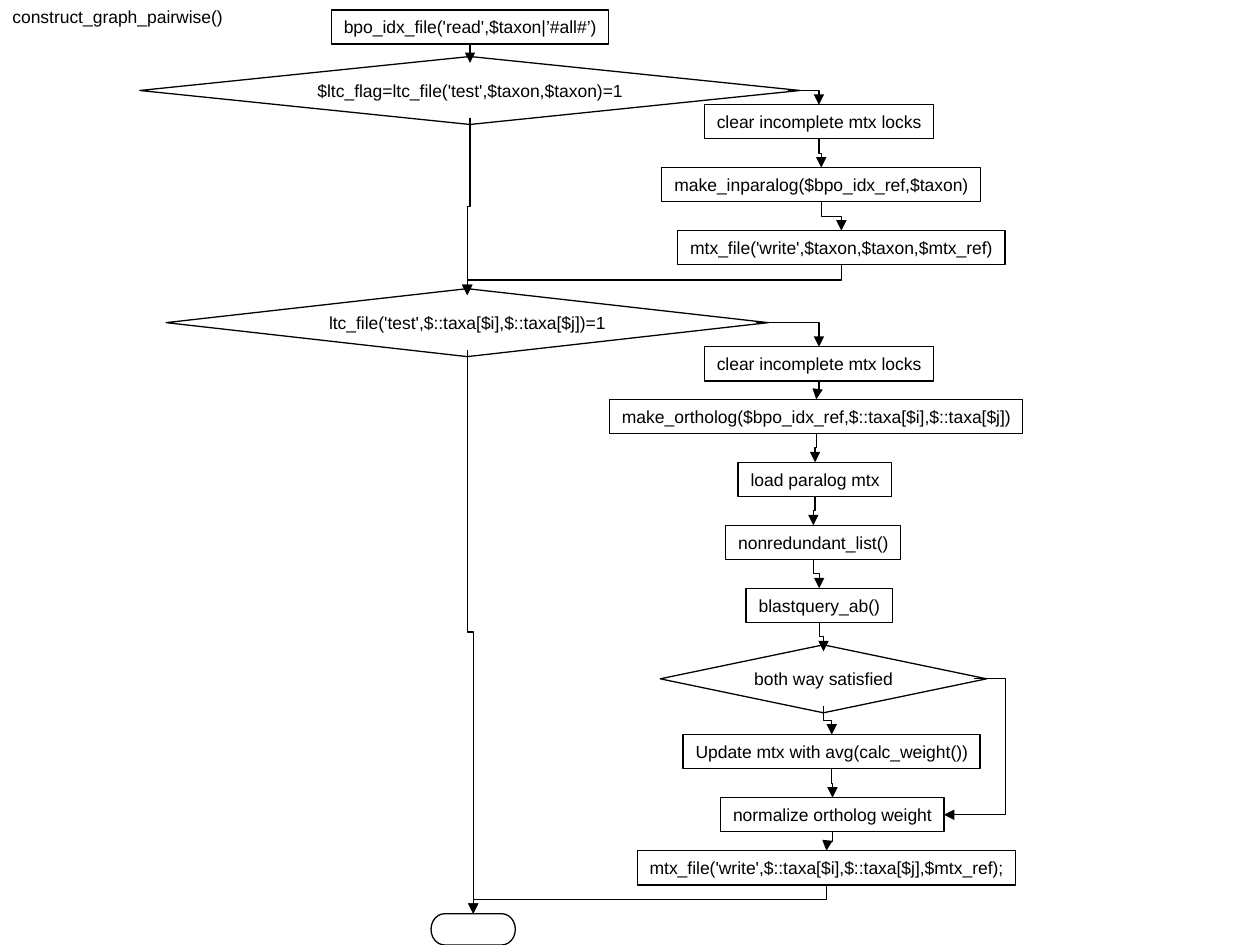
from lxml import etree
from pptx import Presentation
from pptx import util as u
from pptx.dml.color import RGBColor
from pptx.enum import shapes, text
from pptx.oxml.ns import qn

COLOURS = {"ink": "000000", "paper": "FFFFFF"}
KINDS = shapes.MSO_SHAPE
DECISION = KINDS.FLOWCHART_DECISION
STEP_HEIGHT, DECISION_HEIGHT = 0.69, 1.37
PITCH = 1.27  # distance between the tops of evenly spaced steps
DECISION_INSET_X, DECISION_INSET_Y = u.Cm(0.25), u.Cm(0.13)


def colour(name):
    return RGBColor.from_string(COLOURS[name])


def write(holder, words, size=10, font="Arial", ink="ink", margin=0.05,
          align=text.PP_ALIGN.CENTER, anchor=text.MSO_ANCHOR.MIDDLE):
    frame = holder.text_frame
    frame.word_wrap = False
    frame.auto_size = text.MSO_AUTO_SIZE.NONE
    frame.vertical_anchor = anchor
    frame.margin_left = frame.margin_right = u.Cm(margin)
    frame.margin_top = frame.margin_bottom = u.Cm(0.13)
    paragraph = frame.paragraphs[0]
    paragraph.alignment = align
    run = paragraph.add_run()
    run.text = words
    run.font.size, run.font.name = u.Pt(size), font
    run.font.color.rgb = colour(ink)


def add_node(slide, box, words="", kind=KINDS.RECTANGLE):
    node = slide.shapes.add_shape(kind, *map(u.Cm, box))
    node.shadow.inherit = False
    node.line.color.rgb = colour("ink")
    node.line.width = u.Pt(0.75)
    if words:
        node.fill.background()
        write(node, words)
    else:
        node.fill.solid()
        node.fill.fore_color.rgb = colour("paper")
    return node


def side(node, name):
    """Point where a connector meets a side; decisions are met slightly inside."""
    decision = node.auto_shape_type == DECISION
    inset_x, inset_y = (DECISION_INSET_X, DECISION_INSET_Y) if decision else (0, 0)
    centre_x = node.left + node.width // 2
    return {
        "top": (centre_x, node.top + inset_y),
        "bottom": (centre_x, node.top + node.height - inset_y),
        "right": (node.left + node.width - inset_x, node.top + node.height // 2),
    }[name]


def add_elbow(slide, start, end):
    elbow = slide.shapes.add_connector(shapes.MSO_CONNECTOR.ELBOW, *start, *end)
    elbow.line.color.rgb = colour("ink")
    elbow.line.width = u.Pt(0.75)
    properties = elbow._element.spPr
    etree.SubElement(properties.find(qn("a:ln")), qn("a:tailEnd"), type="triangle")
    etree.SubElement(properties, qn("a:effectLst"))
    return elbow


def flow_down(slide, upper, lower):
    """Arrow that leaves downwards, shifts sideways halfway and goes on down."""
    start, end = side(upper, "bottom"), side(lower, "top")
    shift, drop = end[0] - start[0], end[1] - start[1]
    elbow = add_elbow(slide, start, end)
    elbow.left = (start[0] + end[0] - drop) // 2
    elbow.top = (start[1] + end[1] - abs(shift)) // 2
    elbow.width, elbow.height = drop, abs(shift)
    elbow.rotation = 270 if shift > 0 else 90
    frame = elbow._element.spPr.find(qn("a:xfrm"))
    frame.attrib.pop("flipH", None)
    if shift > 0:
        frame.set("flipH", "1")


def flow_aside(slide, decision, step):
    """Arrow that leaves to the right and turns down once."""
    elbow = add_elbow(slide, side(decision, "right"), side(step, "top"))
    elbow._element.spPr.find(qn("a:prstGeom")).set("prst", "bentConnector2")


def flow_around(slide, decision, step, bend):
    """Arrow that leaves to the right and comes back to a step's right side."""
    elbow = add_elbow(slide, side(decision, "right"), side(step, "right"))
    geometry = elbow._element.spPr.find(qn("a:prstGeom"))
    adjustments = geometry.find(qn("a:avLst"))
    if adjustments is None:
        adjustments = etree.SubElement(geometry, qn("a:avLst"))
    etree.SubElement(adjustments, qn("a:gd"), name="adj1",
                     fmla=f"val {round(bend * 100000)}")


def draw_branch(slide, box, question, steps):
    """Decision filling the box, with a chain of steps beside and below it."""
    left, top = box[:2]
    decision = add_node(slide, box, question, DECISION)
    chain = [
        add_node(slide,
                 (left + x, top + y, width,
                  DECISION_HEIGHT if kind == DECISION else STEP_HEIGHT),
                 words, kind)
        for words, x, y, width, kind in steps
    ]
    flow_aside(slide, decision, chain[0])
    for upper, lower in zip(chain, chain[1:]):
        flow_down(slide, upper, lower)
    return decision, chain


def draw_inparalog_branch(slide, box):
    labels = [
        ("clear incomplete mtx locks", 11.38, 4.62),
        ("make_inparalog($bpo_idx_ref,$taxon)", 10.52, 6.43),
        ("mtx_file('write',$taxon,$taxon,$mtx_ref)", 10.84, 6.6),
    ]
    steps = [(words, x, 0.97 + row * PITCH, width, KINDS.RECTANGLE)
             for row, (words, x, width) in enumerate(labels)]
    return draw_branch(slide, box, "$ltc_flag=ltc_file('test',$taxon,$taxon)=1", steps)


def draw_ortholog_branch(slide, box):
    box_kind = KINDS.RECTANGLE
    evenly_spaced = [
        ("make_ortholog($bpo_idx_ref,$::taxa[$i],$::taxa[$j])", 8.94, 8.33),
        ("load paralog mtx", 11.53, 3.1),
        ("nonredundant_list()", 11.28, 3.53),
        ("blastquery_ab()", 11.69, 2.95),
    ]
    steps = [
        ("clear incomplete mtx locks", 10.85, 1.17, 4.62, box_kind),
        *((words, x, 2.23 + row * PITCH, width, box_kind)
          for row, (words, x, width) in enumerate(evenly_spaced)),
        ("both way satisfied", 9.96, 7.18, 6.58, DECISION),
        ("Update mtx with avg(calc_weight())", 10.42, 8.99, 5.99, box_kind),
        ("normalize ortholog weight", 11.18, 8.99 + PITCH, 4.5, box_kind),
        ("mtx_file('write',$::taxa[$i],$::taxa[$j],$mtx_ref);",
         9.5, 11.33, 7.62, box_kind),
    ]
    decision, chain = draw_branch(
        slide, box, "ltc_file('test',$::taxa[$i],$::taxa[$j])=1", steps)
    satisfied, normalize = chain[5], chain[7]
    flow_around(slide, satisfied, normalize, bend=-1.04)
    return decision, chain


def draw_title(slide, box):
    title = slide.shapes.add_textbox(*map(u.Cm, box))
    write(title, "construct_graph_pairwise()", margin=0.25,
          align=text.PP_ALIGN.LEFT, anchor=text.MSO_ANCHOR.TOP)


def main():
    deck = Presentation()
    deck.slide_width, deck.slide_height = u.Cm(25.4), u.Cm(19.05)
    slide = deck.slides.add_slide(deck.slide_layouts[6])

    draw_title(slide, (0, 0, 4.75, STEP_HEIGHT))
    entry = add_node(slide, (6.68, 0.2, 5.59, STEP_HEIGHT),
                     "bpo_idx_file('read',$taxon|’#all#’)")
    same_taxon, inparalog = draw_inparalog_branch(
        slide, (2.82, 1.14, 13.31, DECISION_HEIGHT))
    taxon_pair, ortholog = draw_ortholog_branch(
        slide, (3.35, 5.82, 12.14, DECISION_HEIGHT))
    finish = add_node(slide, (8.69, 18.42, 1.7, 0.63), kind=KINDS.FLOWCHART_TERMINATOR)

    for upper, lower in [
        (entry, same_taxon),
        (same_taxon, taxon_pair),
        (inparalog[-1], taxon_pair),
        (taxon_pair, finish),
        (ortholog[-1], finish),
    ]:
        flow_down(slide, upper, lower)
    deck.save("out.pptx")


if __name__ == "__main__":
    main()
